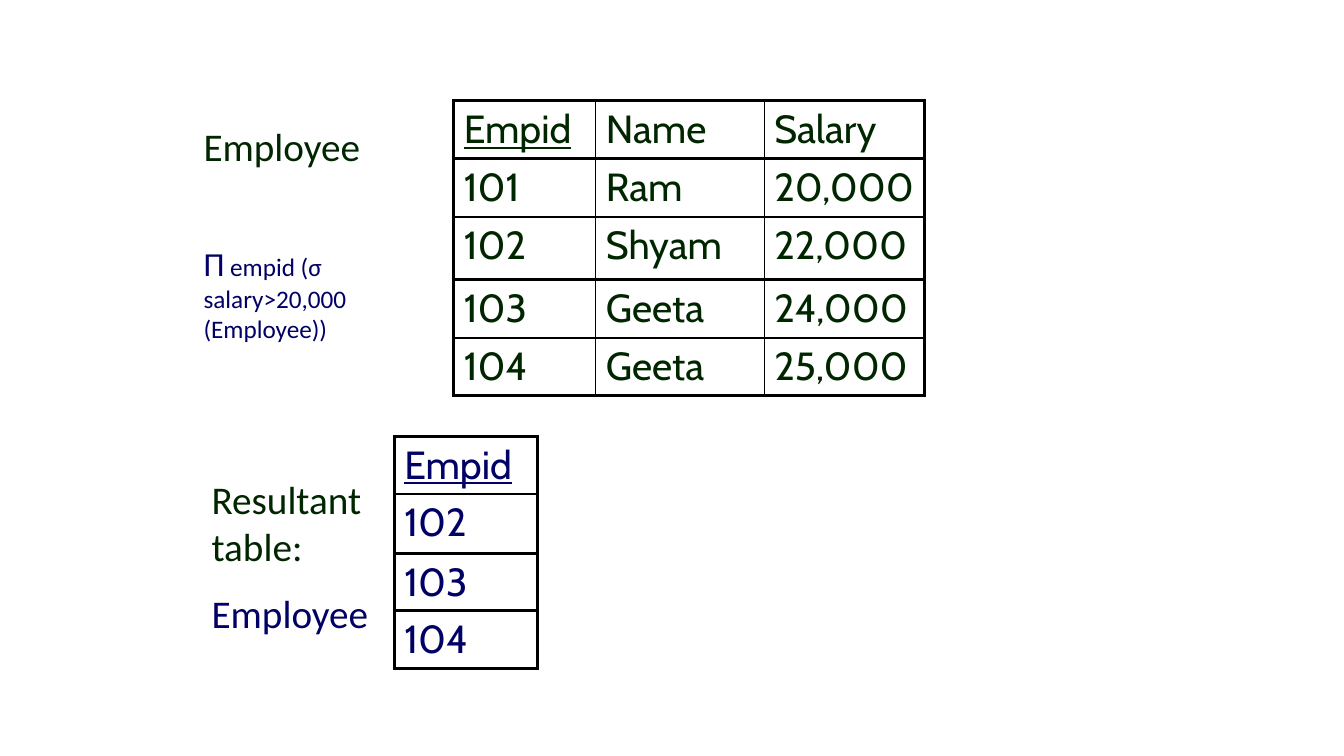
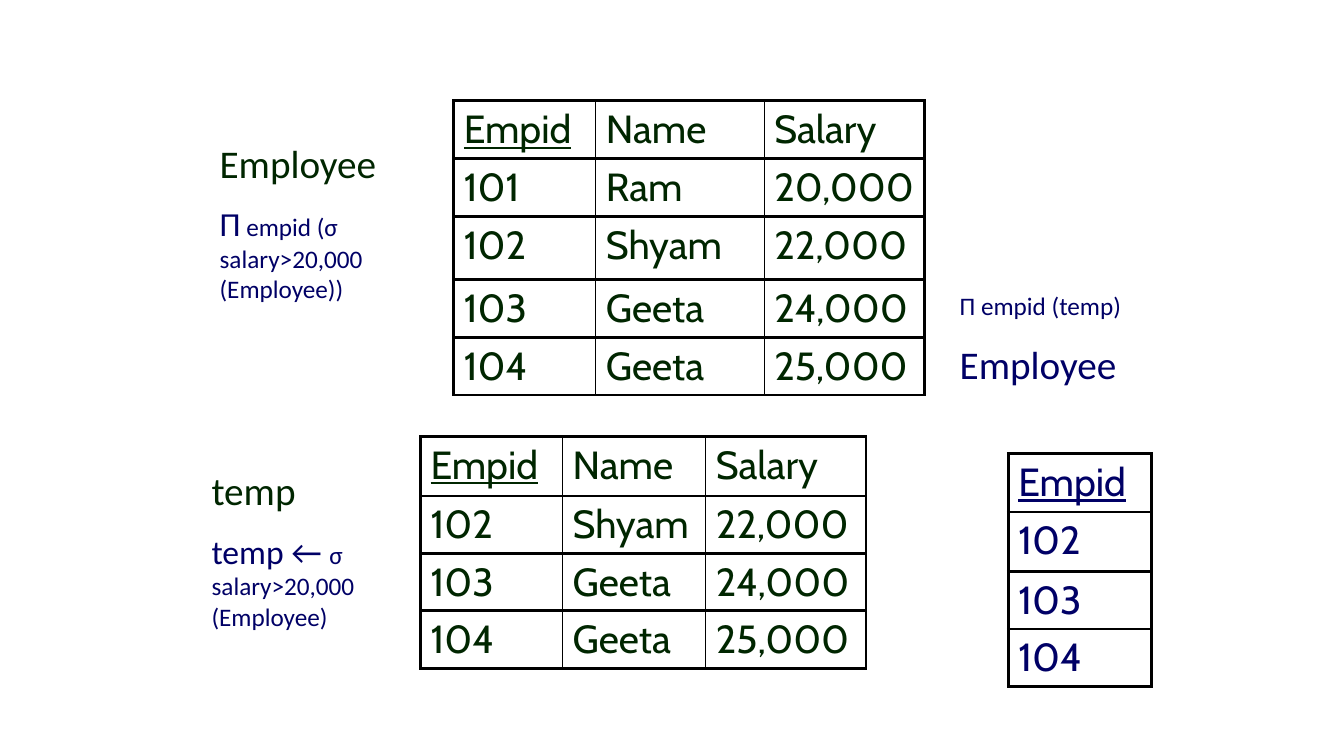
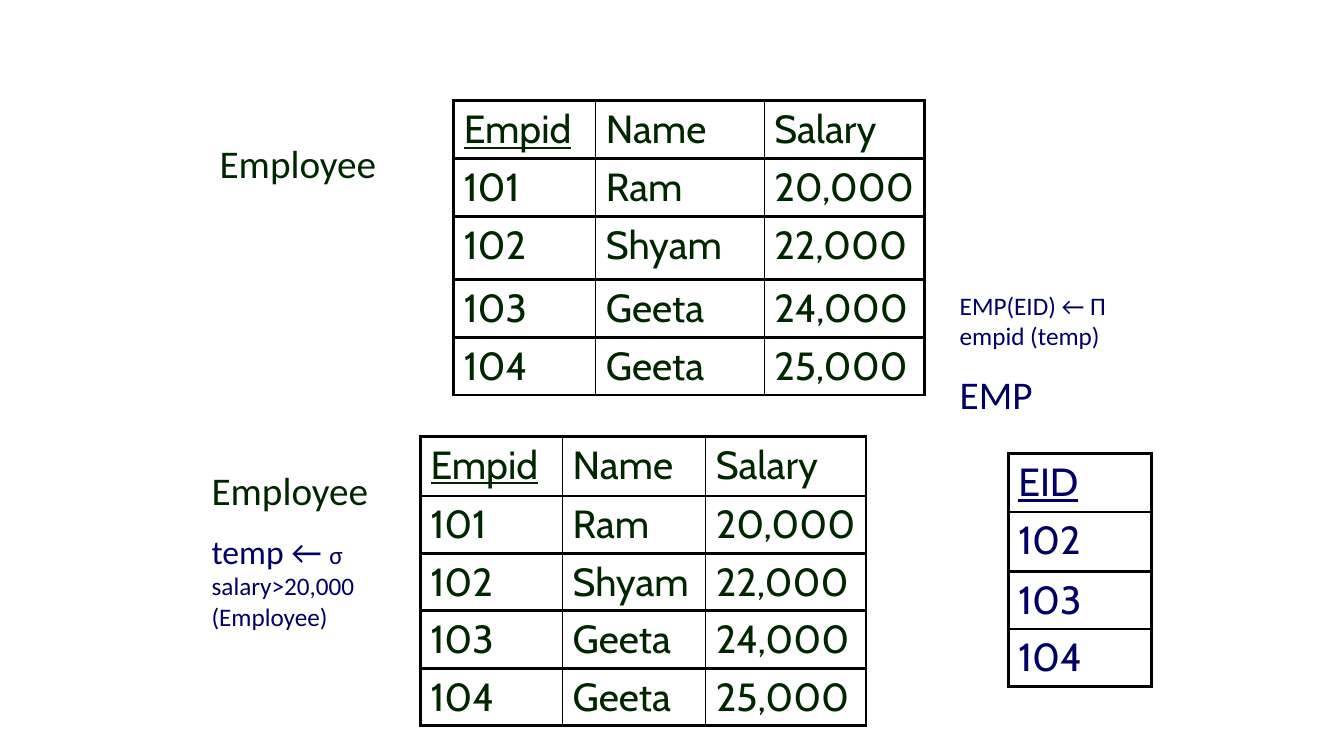
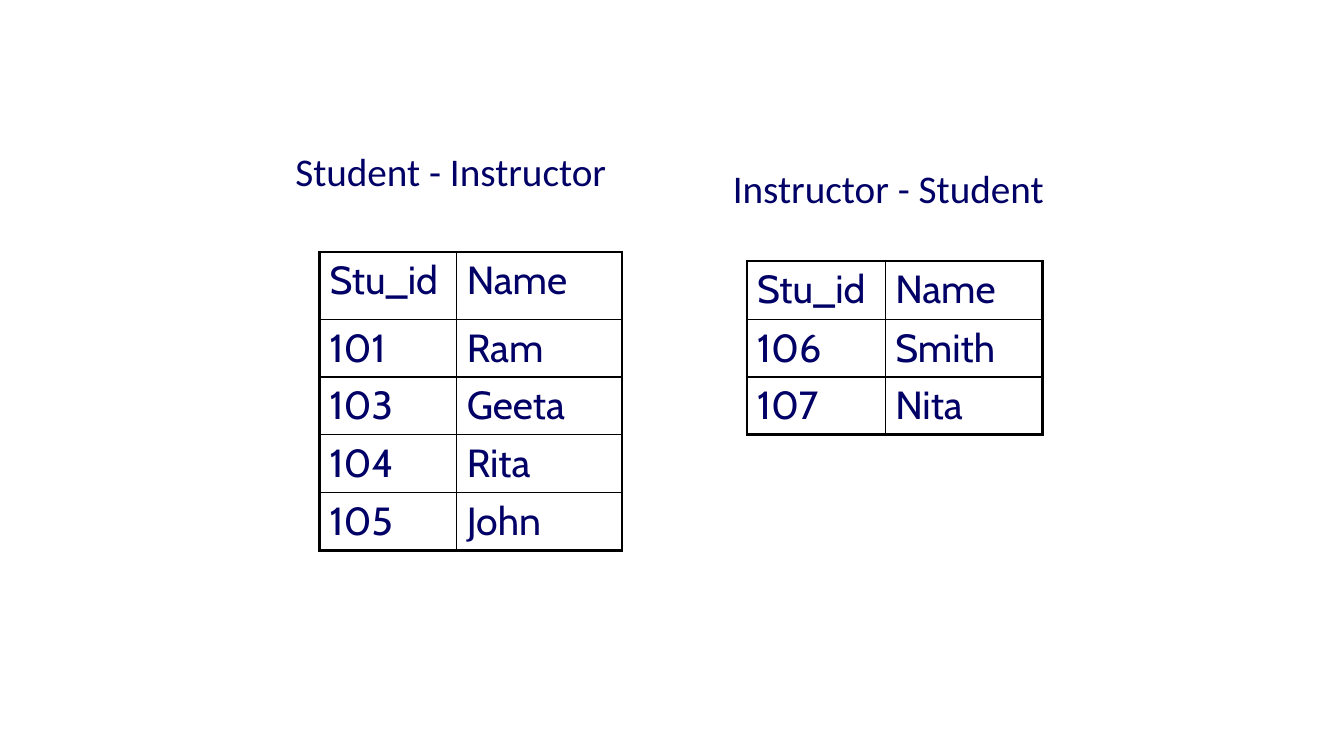
import pptx
import pptx.dml.color
import pptx.enum.text
import pptx.oxml.ns
import pptx.util
import lxml.etree

PX = 9144
COLORS = {"green": "002600", "navy": "000066", "line": "000000"}
THICK, THIN = 2.25, 1


class Deck:
    def __init__(self):
        self.file = pptx.Presentation()
        self.file.slide_width = 1333 * PX
        self.file.slide_height = 750 * PX
        self.slide = None

    def page(self):
        self.slide = self.file.slides.add_slide(self.file.slide_layouts[6])

    def style(self, font, face, color, size=None):
        font.name = face
        font.color.rgb = pptx.dml.color.RGBColor.from_string(COLORS[color])
        if size:
            font.size = pptx.util.Pt(size)

    def text(self, x, y, width, height, *paras, gap=None):
        box = self.slide.shapes.add_textbox(x * PX, y * PX, width * PX, height * PX)
        frame = box.text_frame
        frame.word_wrap = True
        frame.auto_size = pptx.enum.text.MSO_AUTO_SIZE.SHAPE_TO_FIT_TEXT
        for index, (color, *parts) in enumerate(paras):
            para = frame.add_paragraph() if index else frame.paragraphs[0]
            first = parts[0][1]
            if index:
                para.space_before = pptx.util.Pt(gap or first / 2)
            self.style(para.font, "Calibri", color, first if len(parts) == 1 else None)
            for words, size in parts:
                run = para.add_run()
                run.text = words
                if len(parts) > 1:
                    run.font.size = pptx.util.Pt(size)

    def border(self, cell, side, width):
        props = cell._tc.get_or_add_tcPr()
        name = pptx.oxml.ns.qn
        line = lxml.etree.SubElement(props, name(f"a:ln{side}"), w=str(int(width * 12700)))
        fill = lxml.etree.SubElement(line, name("a:solidFill"))
        lxml.etree.SubElement(fill, name("a:srgbClr"), val=COLORS["line"])

    def table(self, x, y, widths, heights, data, color, inner=THICK, keyed=True):
        rows, cols = len(heights), len(widths)
        frame = self.slide.shapes.add_table(
            rows, cols, x * PX, y * PX, sum(widths) * PX, sum(heights) * PX)
        grid = frame.table
        grid.first_row = grid.horz_banding = False
        for col, width in zip(grid.columns, widths):
            col.width = width * PX
        for row, height in zip(grid.rows, heights):
            row.height = height * PX
        for i, record in enumerate(data):
            for j, value in enumerate(record):
                cell = grid.cell(i, j)
                cell.text = value
                font = cell.text_frame.paragraphs[0].font
                self.style(font, "Cabin", color, 28)
                if keyed and i == j == 0:
                    font.underline = True
                self.border(cell, "L", THIN if j else THICK)
                self.border(cell, "R", THIN if j < cols - 1 else THICK)
                self.border(cell, "T", inner if i else THICK)
                self.border(cell, "B", inner if i < rows - 1 else THICK)
                cell.fill.background()


HEAD = ("Empid", "Name", "Salary")
STAFF = [("101", "Ram", "20,000"), ("102", "Shyam", "22,000"),
         ("103", "Geeta", "24,000"), ("104", "Geeta", "25,000")]
IDS = [(row[0],) for row in STAFF[1:]]
OWNER = ("green", ("Employee", 28))
QUERY = ("navy", ("Π", 24), (" empid (σ salary>20,000 (Employee))", 18))
ASSIGN = ("navy", ("temp ← ", 24), ("σ salary>20,000 (Employee)", 18))


def staff(deck):
    deck.page()
    deck.table(450, 100, [141, 167, 159], [57, 58, 62, 58, 57], [HEAD] + STAFF, "green")


def steps(deck, label, people, key, width, *result):
    deck.text(200, 458, 208, 183, ("green", (label, 28)), ASSIGN)
    deck.table(1000, 450, [142], [58, 59, 57, 57], [(key,)] + IDS, "navy")
    deck.text(942, 283, width, 111, *result)
    deck.table(417, 433, [141, 142, 159], [59] + [57] * len(people), [HEAD] + people, "green")


def main():
    deck = Deck()

    staff(deck)
    deck.text(192, 116, 258, 312, OWNER, QUERY, gap=53)
    deck.table(391, 433, [142], [57, 59, 57, 57], [("Empid",)] + IDS, "navy")
    deck.text(200, 467, 192, 174, ("green", ("Resultant table:", 28)),
              ("navy", ("Employee", 28)))

    staff(deck)
    deck.text(208, 133, 225, 183, OWNER, QUERY)
    steps(deck, "temp", STAFF[1:], "Empid", 192,
          ("navy", ("Π empid (temp)", 18)), ("navy", ("Employee", 28)))

    staff(deck)
    deck.text(208, 133, 225, 57, OWNER)
    steps(deck, "Employee", STAFF, "EID", 208,
          ("navy", ("EMP(EID) ← Π empid (temp)", 18)), ("navy", ("EMP", 28)))

    deck.page()
    head = ("Stu_id", "Name")
    pupils = [head, ("101", "Ram"), ("103", "Geeta"), ("104", "Rita"), ("105", "John")]
    tutors = [head, ("106", "Smith"), ("107", "Nita")]
    deck.table(317, 250, [136, 164], [67, 57, 57, 58, 57], pupils, "navy", THIN, False)
    deck.text(283, 141, 375, 57, ("navy", ("Student - Instructor", 28)))
    deck.table(741, 259, [137, 156], [58, 57, 57], tutors, "navy", THIN, False)
    deck.text(717, 158, 375, 57, ("navy", ("Instructor - Student", 28)))

    deck.file.save("out.pptx")


if __name__ == "__main__":
    main()
